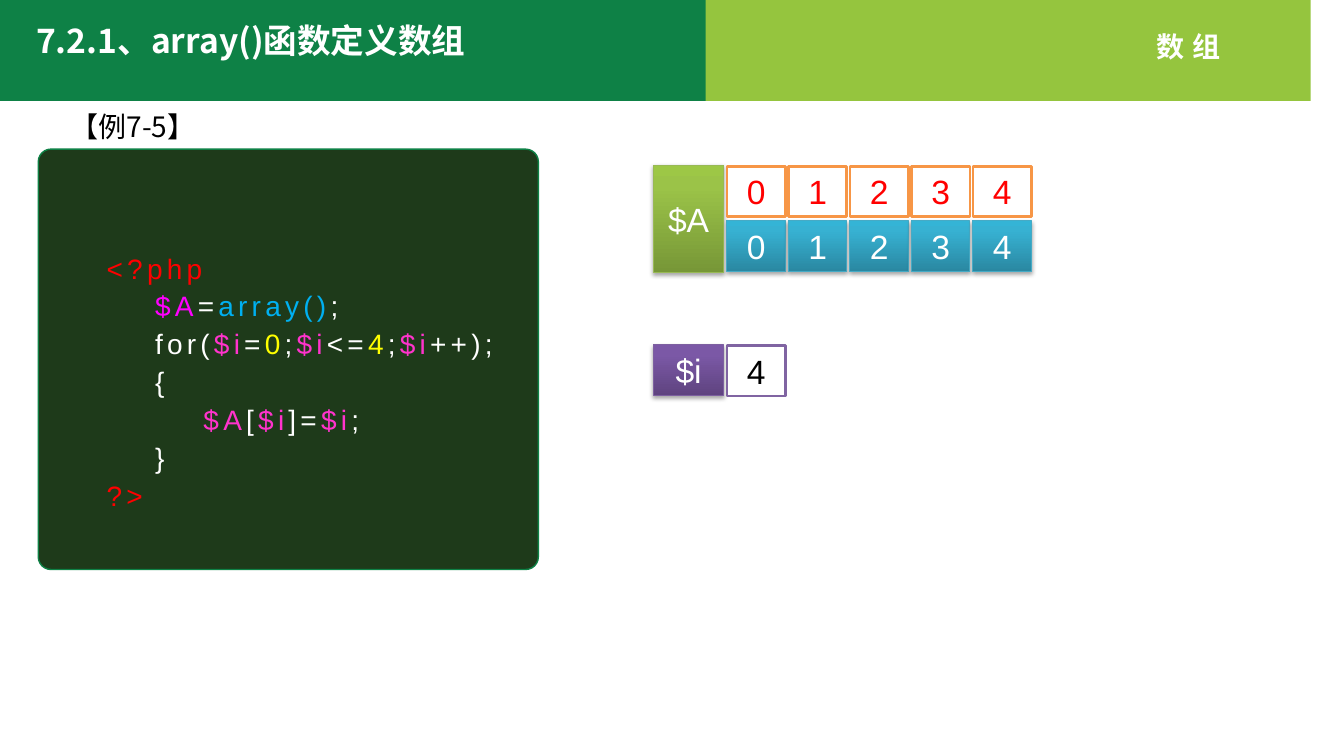
from lxml.etree import SubElement
from pptx import Presentation
from pptx.dml.color import RGBColor
from pptx.enum.shapes import MSO_SHAPE
from pptx.enum.text import MSO_ANCHOR, MSO_AUTO_SIZE, PP_ALIGN
from pptx.oxml.ns import qn
from pptx.util import Inches, Pt

WHITE = RGBColor(0xFF, 0xFF, 0xFF)
BLACK = RGBColor(0x00, 0x00, 0x00)
RED = RGBColor(0xFF, 0x00, 0x00)
MAGENTA = RGBColor(0xFF, 0x00, 0xFF)
PINK = RGBColor(0xFF, 0x33, 0xCC)
YELLOW = RGBColor(0xFF, 0xFF, 0x00)
SKY = RGBColor(0x00, 0xB0, 0xF0)
GREEN = RGBColor(0x0E, 0x81, 0x46)
LIME = RGBColor(0x95, 0xC5, 0x3E)
BOARD = RGBColor(0x1E, 0x3A, 0x1A)
ORANGE = RGBColor(0xF7, 0x96, 0x46)
PURPLE = RGBColor(0x80, 0x64, 0xA2)
OLIVE_EDGE = RGBColor(0x98, 0xB9, 0x55)
PURPLE_EDGE = RGBColor(0x7D, 0x60, 0xA0)
TEAL_EDGE = RGBColor(0x46, 0xAA, 0xC5)
OLIVE_SHADES = [RGBColor(0x77, 0x97, 0x37), RGBColor(0x9B, 0xC3, 0x48), RGBColor(0x9D, 0xC7, 0x46)]
PURPLE_SHADES = [RGBColor(0x5F, 0x44, 0x80), RGBColor(0x7B, 0x58, 0xA6), RGBColor(0x7C, 0x57, 0xA8)]
TEAL_SHADES = [RGBColor(0x2A, 0x88, 0xA2), RGBColor(0x37, 0xB1, 0xD2), RGBColor(0x34, 0xB4, 0xD6)]
CJK_FONT = "Noto Sans CJK SC"

CODE = [
    (0, [("<?php", RED)]),
    (1, [("$A", MAGENTA), ("=", WHITE), ("array()", SKY), (";", WHITE)]),
    (1, [("for(", WHITE), ("$i", PINK), ("=", WHITE), ("0", YELLOW), (";", WHITE), ("$i", PINK),
         ("<=", WHITE), ("4", YELLOW), (";", WHITE), ("$i", PINK), ("++);", WHITE)]),
    (1, [("{", WHITE)]),
    (2, [("$A", PINK), ("[", WHITE), ("$i", PINK), ("]=", WHITE), ("$i", PINK), (";", WHITE)]),
    (1, [("}", WHITE)]),
    (0, [("?>", RED)]),
]


def curve(start, first, second, end, steps=24):
    """Return points along a cubic curve, without its start."""
    points = []
    for step in range(1, steps + 1):
        t = step / steps
        weights = ((1 - t) ** 3, 3 * t * (1 - t) ** 2, 3 * t * t * (1 - t), t ** 3)
        points.append(tuple(sum(weight * point[axis] for weight, point in
                                zip(weights, (start, first, second, end))) for axis in (0, 1)))
    return points


class SlidePainter:
    """Holds the text style and the current slide."""

    latin = "Arial"

    def __init__(self, slide):
        self.slide = slide

    def outline(self, points, color):
        """Draw a filled outline."""
        builder = self.slide.shapes.build_freeform(*points[0], scale=Inches(1))
        builder.add_line_segments(points[1:], close=True)
        shape = builder.convert_to_shape()
        shape.shadow.inherit = False
        shape.fill.solid()
        shape.fill.fore_color.rgb = color
        shape.line.fill.background()

    def span(self, para, text, color, size, font=None, bold=False, spacing=0):
        """Add one styled run."""
        run = para.add_run()
        run.text = text
        run.font.name = font or self.latin
        run.font.size = Pt(size)
        run.font.bold = bold
        run.font.color.rgb = color
        properties = run.font._element
        SubElement(properties, qn("a:ea")).set("typeface", CJK_FONT)
        if spacing:
            properties.set("spc", str(spacing * 100))

    def text_box(self, left, top, width, height, wrap=True):
        """Add an empty text box and return its frame."""
        box = self.slide.shapes.add_textbox(*map(Inches, (left, top, width, height)))
        frame = box.text_frame
        frame.word_wrap = wrap
        frame.auto_size = MSO_AUTO_SIZE.SHAPE_TO_FIT_TEXT
        return frame

    def label(self, place, text, color, size, wrap=True, **style):
        """Add a text box with one paragraph and return the paragraph."""
        para = self.text_box(*place, wrap=wrap).paragraphs[0]
        self.span(para, text, color, size, **style)
        return para

    def code(self, place, lines):
        """Add coloured code with indented lines."""
        frame = self.text_box(*place)
        for number, (level, parts) in enumerate(lines):
            para = frame.add_paragraph() if number else frame.paragraphs[0]
            para.line_spacing = Pt(27)
            para._p.get_or_add_pPr().set("marL", str(Inches(0.48 * level)))
            for text, color in parts:
                self.span(para, text, color, 20, spacing=3)

    def panel(self, place, kind, fill, edge, weight):
        """Add a filled shape with an edge and return it."""
        shape = self.slide.shapes.add_shape(kind, *map(Inches, place))
        shape.shadow.inherit = False
        shape.fill.solid()
        shape.fill.fore_color.rgb = fill
        shape.line.color.rgb = edge
        shape.line.width = Pt(weight)
        return shape

    def cell(self, place, text, color, edge, shades=None):
        """Add a memory cell, plain or shaded with a shadow."""
        shape = self.panel(place, MSO_SHAPE.RECTANGLE, WHITE, edge, 0.75 if shades else 2)
        if shades:
            self.shade(shape, shades)
        frame = shape.text_frame
        frame.word_wrap = True
        frame.vertical_anchor = MSO_ANCHOR.MIDDLE
        para = frame.paragraphs[0]
        para.alignment = PP_ALIGN.CENTER
        self.span(para, text, color, 24)

    def shade(self, shape, shades):
        """Give a shape an upward gradient and a soft shadow."""
        shape.fill.gradient()
        shape.fill.gradient_angle = 90
        properties = shape._element.spPr
        stops = properties.find(".//" + qn("a:gsLst"))
        for stop in list(stops):
            stops.remove(stop)
        for percent, color in zip((0, 80, 100), shades):
            stop = SubElement(stops, qn("a:gs"), pos=str(percent * 1000))
            SubElement(stop, qn("a:srgbClr"), val=str(color))
        shadow = SubElement(properties.find(qn("a:effectLst")), qn("a:outerShdw"),
                            blurRad=str(Pt(3.1)), dist=str(Pt(1.8)), dir="5400000", rotWithShape="0")
        tint = SubElement(shadow, qn("a:srgbClr"), val=str(BLACK))
        SubElement(tint, qn("a:alpha"), val="35000")


def main():
    """Build the slide and save the deck."""
    deck = Presentation()
    deck.slide_width, deck.slide_height = Inches(13.33), Inches(7.5)
    page = SlidePainter(deck.slides.add_slide(deck.slide_layouts[6]))

    page.outline([(0, -0.03), (13.33, -0.03), (13.33, 0.24), (8.27, 0.24), (8.09, 0.28),
                  *curve((8.09, 0.28), (7.27, 0.44), (7.7, 0.77), (6.55, 0.77)), (0, 0.77)], GREEN)
    page.outline([(8.39, 0.19), (13.33, 0.19), (13.33, 0.77), (6.67, 0.77),
                  *curve((6.67, 0.77), (7.73, 0.6), (7.17, 0.19), (8.39, 0.19))], LIME)
    page.label((11.37, 0.24, 0.93, 0.44), "数组", WHITE, 20, wrap=False, bold=True, spacing=6)
    page.label((0.26, 0.15, 5.08, 0.5), "7.2.1、array()函数定义数组", WHITE, 24, font=CJK_FONT, bold=True)
    example = page.label((0.6, 0.87, 2.42, 0.53), "【例7-5】", BLACK, 20, font=CJK_FONT)
    example.alignment = PP_ALIGN.JUSTIFY
    example.line_spacing = 1.5

    board = page.panel((0.38, 1.48, 4.96, 4.17), MSO_SHAPE.ROUNDED_RECTANGLE, BOARD, GREEN, 1)
    board.adjustments[0] = 0.03
    page.code((0.96, 2.4, 4.11, 2.75), CODE)

    page.cell((6.48, 1.64, 0.7, 1.06), "$A", WHITE, OLIVE_EDGE, OLIVE_SHADES)
    page.cell((6.48, 3.42, 0.7, 0.5), "$i", WHITE, PURPLE_EDGE, PURPLE_SHADES)
    for index in range(5):
        left = 7.21 + 0.61 * index
        page.cell((left, 1.65, 0.58, 0.5), str(index), RED, ORANGE)
        page.cell((left, 2.19, 0.58, 0.5), str(index), WHITE, TEAL_EDGE, TEAL_SHADES)
    page.cell((7.21, 3.43, 0.58, 0.5), "4", BLACK, PURPLE)

    deck.save("out.pptx")


if __name__ == "__main__":
    main()
